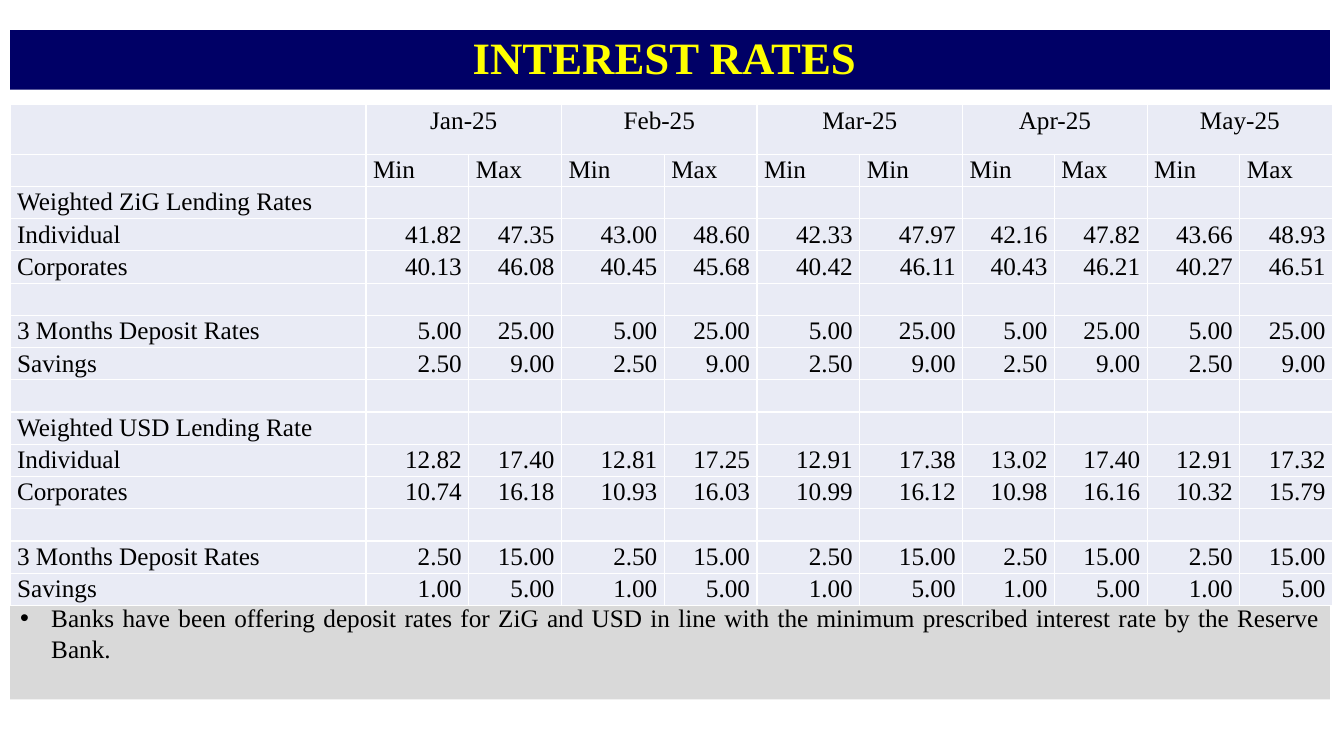
from lxml import etree
from pptx import Presentation
from pptx.dml.color import RGBColor
from pptx.enum import shapes, text
from pptx.oxml import ns
from pptx.util import Inches, Pt

TITLE = "INTEREST RATES "
NOTE = ("Banks have been offering deposit rates for ZiG and USD in line with "
        "the minimum prescribed interest rate by the Reserve Bank.")
MONTHS = ["Jan-25", "Feb-25", "Mar-25", "Apr-25", "May-25"]
LIMITS = ["Min", "Max", "Min", "Max", "Min", "Min", "Min", "Max", "Min", "Max"]
RATES = [
    ("Weighted ZiG Lending Rates", []),
    ("Individual", [41.82, 47.35, 43.00, 48.60, 42.33, 47.97, 42.16, 47.82, 43.66, 48.93]),
    ("Corporates", [40.13, 46.08, 40.45, 45.68, 40.42, 46.11, 40.43, 46.21, 40.27, 46.51]),
    ("", []),
    ("3 Months Deposit Rates", [5, 25] * 5),
    ("Savings", [2.5, 9] * 5),
    ("", []),
    ("Weighted USD Lending Rate", []),
    ("Individual", [12.82, 17.40, 12.81, 17.25, 12.91, 17.38, 13.02, 17.40, 12.91, 17.32]),
    ("Corporates", [10.74, 16.18, 10.93, 16.03, 10.99, 16.12, 10.98, 16.16, 10.32, 15.79]),
    ("", []),
    ("3 Months Deposit Rates", [2.5, 15] * 5),
    ("Savings", [1, 5] * 5),
]
COLUMNS = [3.53, 1.02, 0.92, 1.02, 0.92, 1.02, 1.02, 0.91, 0.92, 0.92, 0.92]
HEADER_HEIGHT, ROW_HEIGHT = 0.49, 0.32
LEFT, WIDTH = 0.1, 13.09

NAVY = RGBColor(0x00, 0x00, 0x66)
YELLOW = RGBColor(0xFF, 0xFF, 0x00)
GREY = RGBColor(0xD9, 0xD9, 0xD9)
PALE = RGBColor(0xE9, 0xEB, 0xF5)
BLACK = RGBColor(0, 0, 0)
FONT = "Times New Roman"
ALIGN = text.PP_ALIGN


def write(tf, words, align, spacing=1.0, color=BLACK, size=18, bold=False):
    """Put one formatted paragraph in a text frame."""
    p = tf.paragraphs[0]
    p.alignment, p.line_spacing = align, spacing
    r = p.add_run()
    r.text = words
    for name, value in {"name": FONT, "size": Pt(size), "bold": bold}.items():
        setattr(r.font, name, value)
    r.font.color.rgb = color
    return p


def paint(item, color):
    """Fill a shape or cell with one colour."""
    item.fill.solid()
    item.fill.fore_color.rgb = color


def add_title(s):
    """Format the title placeholder as a banner."""
    sp = s.shapes.title
    sp.left, sp.top, sp.width, sp.height = map(Inches, (LEFT, 0.3, WIDTH, 0.59))
    paint(sp, NAVY)
    sp.text_frame.vertical_anchor = text.MSO_ANCHOR.MIDDLE
    write(sp.text_frame, TITLE, ALIGN.CENTER, 0.9, YELLOW, 32, True)


def add_note(s):
    """Add the bulleted comment under the table."""
    sp = s.shapes.add_shape(shapes.MSO_SHAPE.RECTANGLE,
                            *map(Inches, (LEFT, 5.93, WIDTH, 1.01)))
    sp.shadow.inherit = False
    paint(sp, GREY)
    sp.line.fill.background()
    tf = sp.text_frame
    tf.word_wrap, tf.vertical_anchor = True, text.MSO_ANCHOR.TOP
    pr = write(tf, NOTE, ALIGN.JUSTIFY)._p.get_or_add_pPr()
    indent = Inches(0.31)
    pr.set("marL", str(indent))
    pr.set("indent", str(-indent))
    etree.SubElement(pr, ns.qn("a:buFont")).set("typeface", "Arial")
    etree.SubElement(pr, ns.qn("a:buChar")).set("char", "•")


def add_rates(s):
    """Add the table of monthly rates."""
    months = [label for month in MONTHS for label in (month, "")]
    rows = [[""] + months, [""] + LIMITS]
    for label, values in RATES:
        cells = [f"{v:.2f}" for v in values] or [""] * len(LIMITS)
        rows.append([label] + cells)
    heights = [HEADER_HEIGHT] + [ROW_HEIGHT] * (len(rows) - 1)
    table = s.shapes.add_table(len(rows), len(COLUMNS), *map(
        Inches, (LEFT, 1.04, WIDTH, sum(heights)))).table
    table.first_row = table.horz_banding = False
    for column, width in zip(table.columns, COLUMNS):
        column.width = Inches(width)
    for y, (row, height) in enumerate(zip(rows, heights)):
        table.rows[y].height = Inches(height)
        for x, words in enumerate(row):
            cell = table.cell(y, x)
            paint(cell, PALE)
            cell.margin_left = cell.margin_right = Inches(0.07)
            cell.margin_top = cell.margin_bottom = 0
            if words:
                align = ALIGN.LEFT if x == 0 or y == 1 else ALIGN.RIGHT
                write(cell.text_frame, words, ALIGN.CENTER if y == 0 else align, 1.07)
    for x in range(1, len(COLUMNS), 2):
        table.cell(0, x).merge(table.cell(0, x + 1))


def main():
    """Build the slide and save it."""
    prs = Presentation()
    prs.slide_width, prs.slide_height = Inches(13.33), Inches(7.5)
    s = prs.slides.add_slide(prs.slide_layouts[5])
    add_title(s)
    add_note(s)
    add_rates(s)
    prs.save("out.pptx")


if __name__ == "__main__":
    main()
